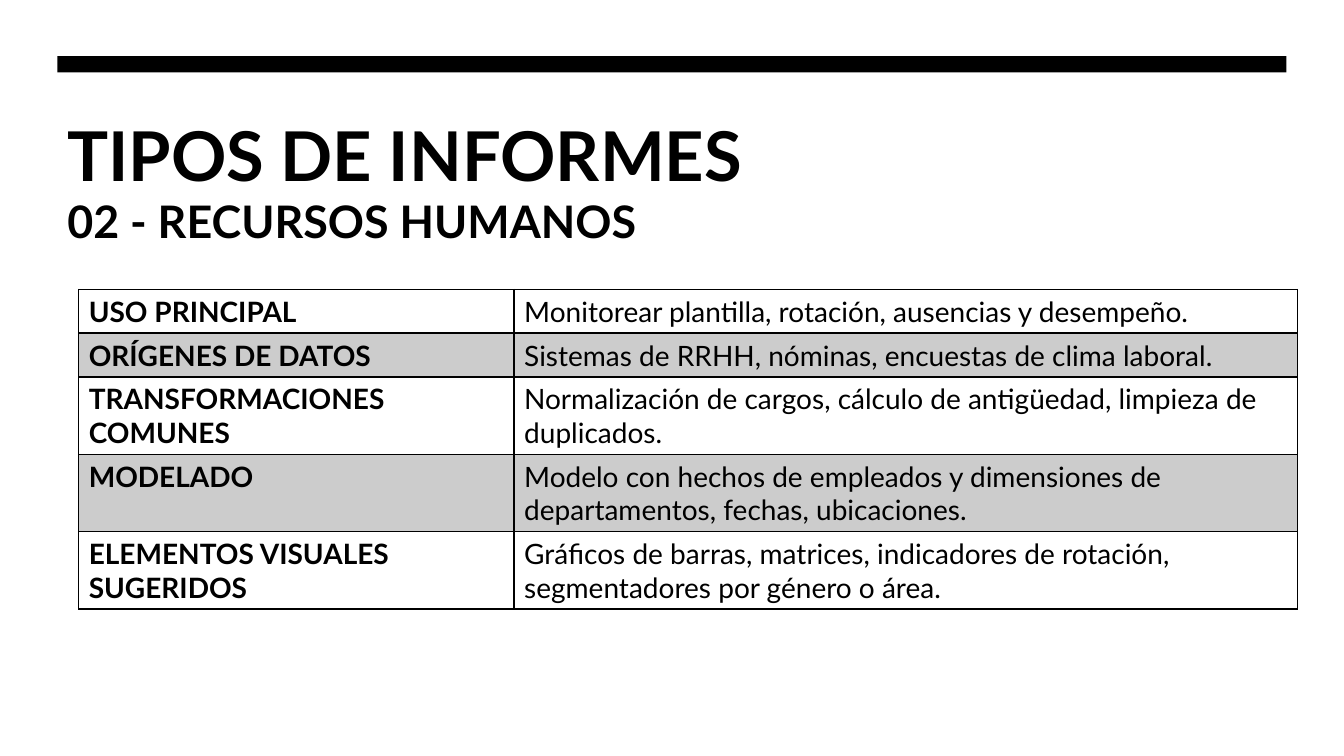
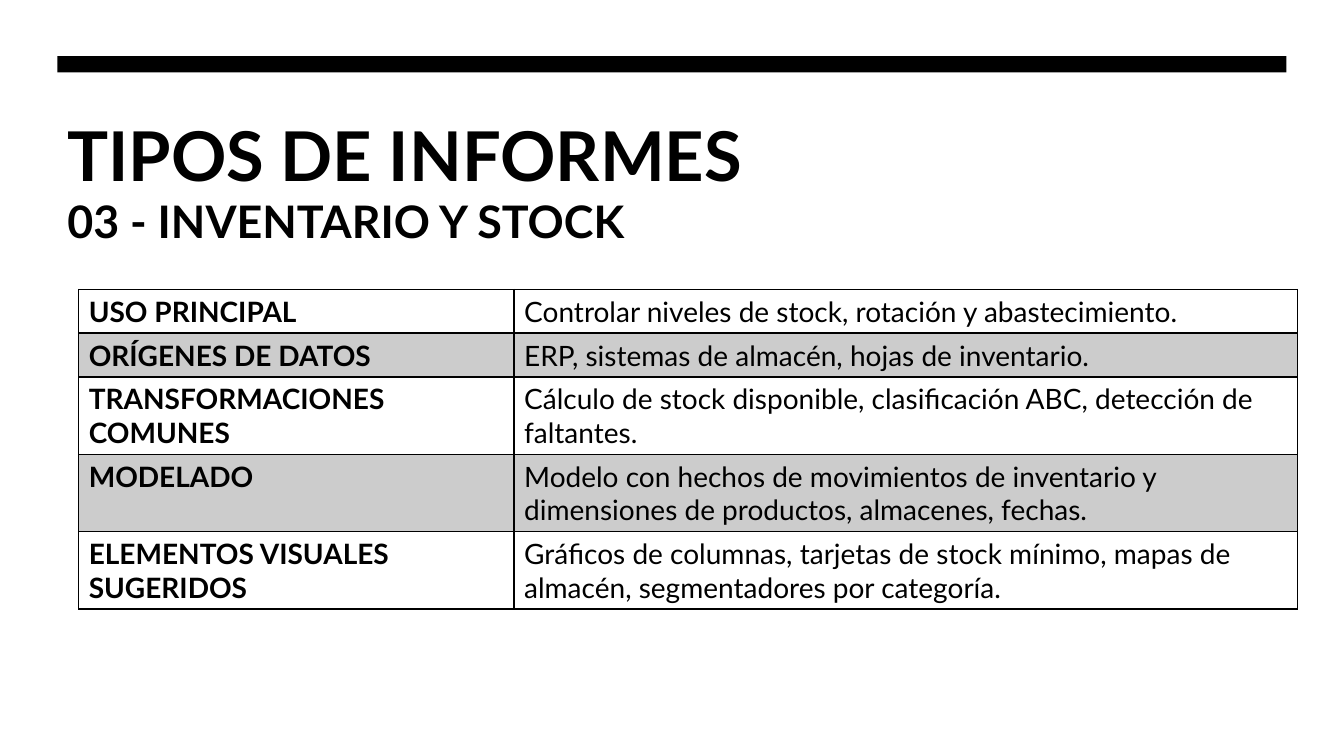
"""Builds two slides on report types, each with a title, a subtitle and a table."""
import lxml.etree
import pptx
import pptx.dml.color
import pptx.enum.shapes
import pptx.oxml.ns
import pptx.util

Pt = pptx.util.Pt
BLACK = pptx.dml.color.RGBColor(0x00, 0x00, 0x00)
GREY = pptx.dml.color.RGBColor(0xCC, 0xCC, 0xCC)
FONT = "Lato"

TITLE = "TIPOS DE INFORMES"
TOPICS = [
    "USO PRINCIPAL",
    "ORÍGENES DE DATOS",
    "TRANSFORMACIONES COMUNES",
    "MODELADO",
    "ELEMENTOS VISUALES SUGERIDOS",
]
REPORTS = {
    "02 - RECURSOS HUMANOS": [
        "Monitorear plantilla, rotación, ausencias y desempeño.",
        "Sistemas de RRHH, nóminas, encuestas de clima laboral.",
        "Normalización de cargos, cálculo de antigüedad, limpieza de duplicados.",
        "Modelo con hechos de empleados y dimensiones de departamentos, fechas, ubicaciones.",
        "Gráficos de barras, matrices, indicadores de rotación, segmentadores por género o área.",
    ],
    "03 - INVENTARIO Y STOCK": [
        "Controlar niveles de stock, rotación y abastecimiento.",
        "ERP, sistemas de almacén, hojas de inventario.",
        "Cálculo de stock disponible, clasificación ABC, detección de faltantes.",
        "Modelo con hechos de movimientos de inventario y dimensiones de productos, almacenes, fechas.",
        "Gráficos de columnas, tarjetas de stock mínimo, mapas de almacén, segmentadores por categoría.",
    ],
}

LEFT, WIDTH = 41, 878
TABLE_LEFT, TABLE_TOP = 56.2, 206.8
COLUMN_WIDTHS = [311, 559.6]
LINE_HEIGHT, CELL_PADDING = 24, 7.2
LINES_PER_ROW = [1, 1, 2, 2, 2]


def write(frame, text, size=20, bold=False):
    frame.word_wrap = True
    paragraph = frame.paragraphs[0]
    paragraph.text = text
    font = paragraph.font
    run_font = paragraph.runs[0].font
    for target in (font, run_font):
        target.name, target.size, target.bold = FONT, Pt(size), bold
        target.color.rgb = BLACK


def add_heading(slide, text, top, height, size):
    box = slide.shapes.add_textbox(Pt(LEFT), Pt(top), Pt(WIDTH), Pt(height))
    write(box.text_frame, text, size=size, bold=True)


def add_band(slide):
    band = slide.shapes.add_shape(
        pptx.enum.shapes.MSO_SHAPE.RECTANGLE, Pt(LEFT), Pt(40.2), Pt(WIDTH), Pt(11.5))
    band.shadow.inherit = False
    band.fill.solid()
    band.fill.fore_color.rgb = BLACK
    band.line.fill.background()


def draw_borders(cell, **widths):
    properties = cell._tc.get_or_add_tcPr()
    qn = pptx.oxml.ns.qn
    for side in "LRTB":
        line = lxml.etree.SubElement(
            properties, qn(f"a:ln{side}"), w=str(Pt(widths.get(side, 1))))
        fill = lxml.etree.SubElement(line, qn("a:solidFill"))
        lxml.etree.SubElement(fill, qn("a:srgbClr"), val=str(BLACK))


def add_report_table(slide, details):
    heights = [lines * LINE_HEIGHT + CELL_PADDING for lines in LINES_PER_ROW]
    table = slide.shapes.add_table(
        len(TOPICS), len(COLUMN_WIDTHS), Pt(TABLE_LEFT), Pt(TABLE_TOP),
        Pt(sum(COLUMN_WIDTHS)), Pt(sum(heights))).table
    table.first_row = table.horz_banding = False
    for column, width in zip(table.columns, COLUMN_WIDTHS):
        column.width = Pt(width)
    for row_index, texts in enumerate(zip(TOPICS, details)):
        table.rows[row_index].height = Pt(heights[row_index])
        for column_index, text in enumerate(texts):
            cell = table.cell(row_index, column_index)
            write(cell.text_frame, text, bold=column_index == 0)
            draw_borders(cell, T=2 if row_index == 1 else 1,
                         B=2 if row_index == 0 else 1)
            if row_index % 2:
                cell.fill.solid()
                cell.fill.fore_color.rgb = GREY
            else:
                cell.fill.background()


def main():
    deck = pptx.Presentation()
    deck.slide_width, deck.slide_height = Pt(960), Pt(540)
    for subtitle, details in REPORTS.items():
        slide = deck.slides.add_slide(deck.slide_layouts[6])
        add_band(slide)
        add_heading(slide, TITLE, top=77, height=59, size=49)
        add_heading(slide, subtitle, top=135, height=46, size=32)
        add_report_table(slide, details)
    deck.save("out.pptx")


if __name__ == "__main__":
    main()
